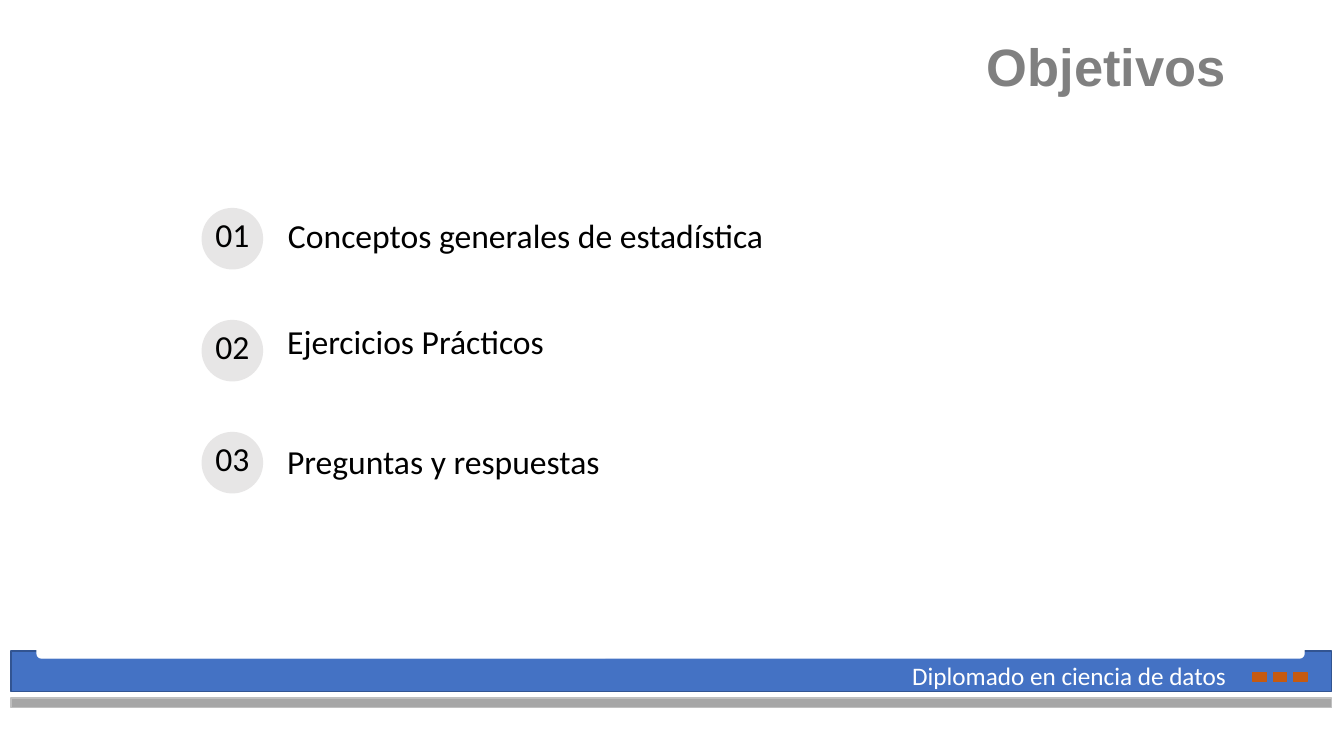
from pptx import Presentation
from pptx.dml.color import RGBColor
from pptx.enum import shapes, text
from pptx.util import Pt

BLUE = RGBColor(0x44, 0x72, 0xC4)
DARK_BLUE = RGBColor(0x32, 0x54, 0x91)
WHITE = RGBColor(0xFF, 0xFF, 0xFF)
BLACK = RGBColor(0, 0, 0)
GRAY = RGBColor(0xA6, 0xA6, 0xA6)
LIGHT_GRAY = RGBColor(0xBF, 0xBF, 0xBF)
TITLE_GRAY = RGBColor(0x80, 0x80, 0x80)
BADGE_GRAY = RGBColor(0xE7, 0xE6, 0xE6)
ORANGE = RGBColor(0xC5, 0x5A, 0x11)

RECT = shapes.MSO_SHAPE.RECTANGLE
ROUNDED = shapes.MSO_SHAPE.ROUNDED_RECTANGLE
OVAL = shapes.MSO_SHAPE.OVAL
LEFT, CENTER, RIGHT = text.PP_ALIGN.LEFT, text.PP_ALIGN.CENTER, text.PP_ALIGN.RIGHT

OBJECTIVES = [
    ("Conceptos generales de estadística", (198.5, 157, 628, 58)),
    ("Ejercicios Prácticos", (198, 232.5, 298, 35.5)),
    ("Preguntas y respuestas", (198, 318.5, 258, 44)),
]
BADGE_TOP, BADGE_STEP, BADGE_SIZE = 148.5, 80, 44


def add_filled(parent, kind, box, fill, line=None):
    shape = parent.shapes.add_shape(kind, *map(Pt, box))
    shape.shadow.inherit = False
    shape.fill.solid()
    shape.fill.fore_color.rgb = fill
    if line is None:
        shape.line.fill.background()
    else:
        shape.line.color.rgb = line
        shape.line.width = Pt(1)
    return shape


def write(holder, words, box, size, color, align=LEFT, font="Calibri", bold=False,
          spacing=0.9, after=0, insets=(7.2, 0, 7.2, 7.2), anchor=text.MSO_ANCHOR.TOP):
    holder.left, holder.top, holder.width, holder.height = map(Pt, box)
    frame = holder.text_frame
    frame.word_wrap = True
    frame.auto_size = text.MSO_AUTO_SIZE.NONE
    frame.vertical_anchor = anchor
    (frame.margin_left, frame.margin_top,
     frame.margin_right, frame.margin_bottom) = map(Pt, insets)
    frame.text = words
    paragraph = frame.paragraphs[0]
    paragraph.alignment = align
    paragraph.line_spacing = spacing
    paragraph.space_before = Pt(0)
    paragraph.space_after = Pt(after)
    paragraph.font.name = font
    paragraph.font.size = Pt(size)
    paragraph.font.bold = bold
    paragraph.font.color.rgb = color


def add_text(parent, words, box, size, color, **style):
    holder = parent.shapes.add_textbox(*map(Pt, box))
    write(holder, words, box, size, color, **style)


def add_footer(slide):
    footer = slide.shapes.add_group_shape()
    add_filled(footer, RECT, (8, 465, 943, 29), BLUE, DARK_BLUE)
    notch = add_filled(footer, ROUNDED, (26.5, 451.5, 905, 18.5), WHITE, WHITE)
    notch.adjustments[0] = 0.17
    add_filled(footer, RECT, (8, 498.5, 943, 7), GRAY, LIGHT_GRAY)
    for column in range(3):
        add_filled(footer, RECT, (895 + 14.5 * column, 480.5, 9.5, 6.5), ORANGE, ORANGE)
    add_text(footer, "Diplomado en ciencia de datos", (644.5, 468, 248.5, 29), 18, WHITE,
             spacing=1, insets=(7.2, 3.6, 7.2, 3.6))


def add_objective(slide, index, holder):
    words, box = OBJECTIVES[index]
    top = BADGE_TOP + BADGE_STEP * index
    add_filled(slide, OVAL, (144, top, BADGE_SIZE, BADGE_SIZE), BADGE_GRAY)
    add_text(slide, f"{index + 1:02}", (133.5, top - 6.5, 65, 44), 24, BLACK,
             align=CENTER, insets=(7.2, 14.4, 7.2, 7.2))
    if holder is None:
        add_text(slide, words, box, 24, BLACK, after=12)
    else:
        write(holder, words, box, 24, BLACK, after=12)


def main():
    deck = Presentation()
    deck.slide_width, deck.slide_height = Pt(960), Pt(540)
    slide = deck.slides.add_slide(deck.slide_layouts[0])
    title, subtitle = slide.placeholders
    add_footer(slide)
    write(title, "Objetivos", (101.5, 29, 792, 43), 37.5, TITLE_GRAY, align=RIGHT,
          font="Arial", bold=True, spacing=0.7, insets=(7.2, 3.6, 17.6, 3.6),
          anchor=text.MSO_ANCHOR.BOTTOM)
    for index in range(len(OBJECTIVES)):
        add_objective(slide, index, subtitle if index == 0 else None)
    deck.save("out.pptx")


main()
